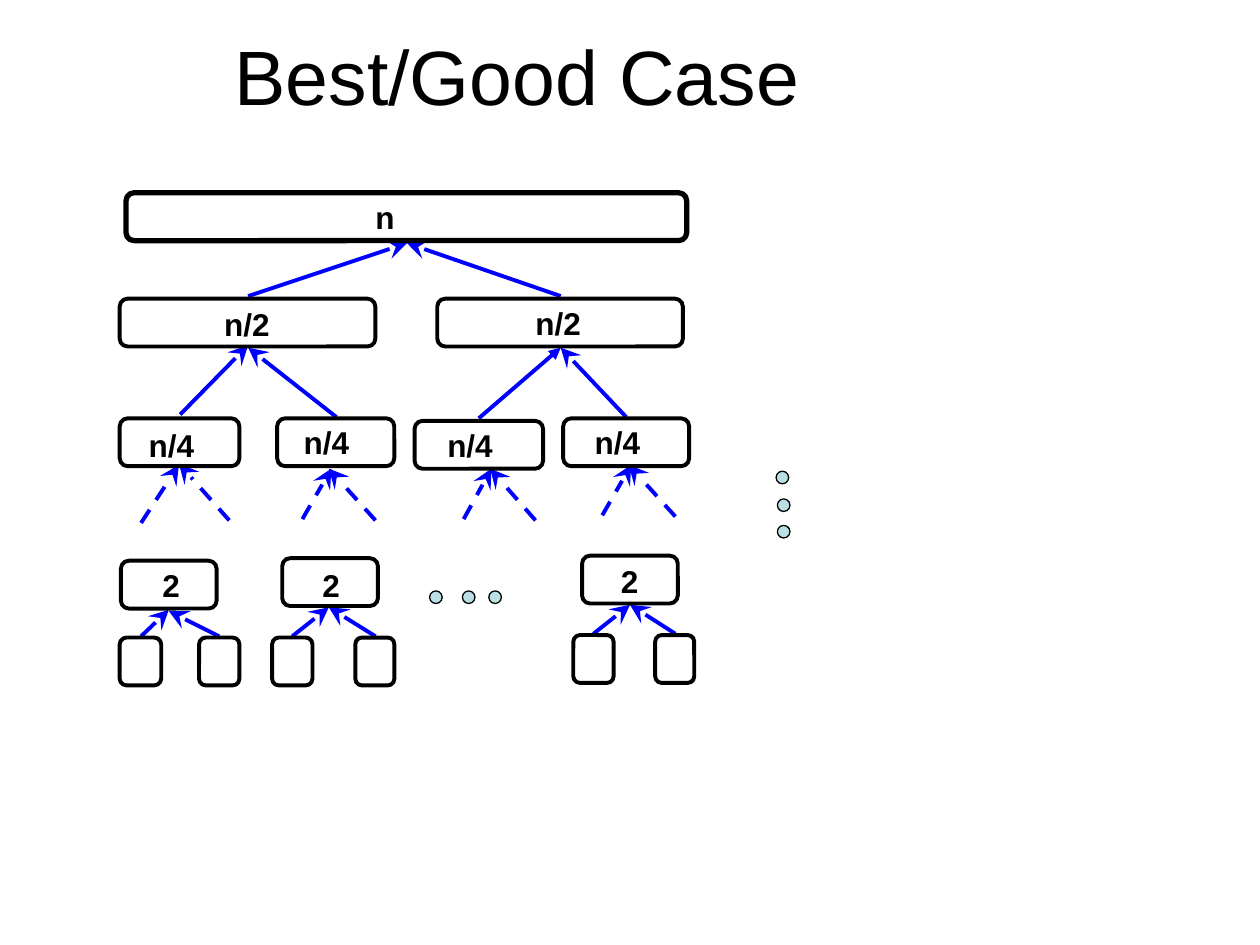
from lxml import etree
from pptx import Presentation
from pptx.dml.color import RGBColor
from pptx.enum.dml import MSO_LINE
from pptx.enum.shapes import MSO_CONNECTOR, MSO_SHAPE
from pptx.enum.text import MSO_ANCHOR, MSO_AUTO_SIZE, PP_ALIGN
from pptx.oxml.ns import qn
from pptx.util import Inches, Pt

ROUNDED = MSO_SHAPE.ROUNDED_RECTANGLE
OVAL = MSO_SHAPE.OVAL
STRAIGHT = MSO_CONNECTOR.STRAIGHT
DASH = MSO_LINE.DASH
TITLE_ONLY = 5

FONT = "Arial"
BLACK = "000000"
BLUE = "0000FF"
PALE_TEAL = "BBE0E3"
BOX_HEIGHT = 0.38
DOT_SIZE = 0.1

# Node boxes: left, top, width
HALVES = [(0.95, 2.37, 2.03), (3.47, 2.37, 1.95)]
QUARTERS = [(0.95, 3.32, 0.95), (2.2, 3.32, 0.93), (3.29, 3.34, 1.02), (4.47, 3.32, 1)]
PAIRS = [(0.96, 4.45, 0.76), (2.24, 4.43, 0.76), (4.62, 4.41, 0.76)]
LEAVES = [(0.95, 5.06, 0.33), (1.58, 5.06, 0.32), (2.16, 5.06, 0.32),
          (2.82, 5.06, 0.31), (4.55, 5.04, 0.32), (5.2, 5.04, 0.31)]

# Labels: text, left, top
SIZE_LABELS = [("n/2", 1.78, 2.42), ("n/2", 4.25, 2.41), ("n/4", 1.18, 3.38),
               ("n/4", 2.41, 3.36), ("n/4", 3.55, 3.38), ("n/4", 4.72, 3.36)]
PAIR_LABELS = [(1.19, 4.44), (2.46, 4.44), (4.83, 4.41)]

# Arrows: child x, child y, parent x, parent y
MERGES = [(1.97, 2.35, 3.23, 1.93), (4.45, 2.35, 3.23, 1.93),
          (1.43, 3.29, 1.97, 2.74), (2.67, 3.31, 1.97, 2.76),
          (4.97, 3.31, 4.45, 2.76),
          (1.12, 5.05, 1.34, 4.84), (1.74, 5.05, 1.34, 4.85),
          (2.32, 5.05, 2.61, 4.82), (2.98, 5.05, 2.61, 4.82),
          (4.71, 5.03, 5, 4.8), (5.36, 5.03, 5, 4.8)]
SKIPPED_MERGES = [(1.12, 4.15, 1.42, 3.69), (1.82, 4.13, 1.42, 3.68),
                  (2.4, 4.12, 2.63, 3.72), (2.98, 4.13, 2.61, 3.72),
                  (3.68, 4.12, 3.9, 3.72), (4.25, 4.13, 3.89, 3.72),
                  (4.78, 4.09, 5.01, 3.69), (5.36, 4.1, 4.99, 3.69)]

DOTS = [(6.16, 3.74), (6.17, 3.96), (6.17, 4.17),
        (3.41, 4.69), (3.67, 4.69), (3.88, 4.69)]


def color(value):
    return RGBColor.from_string(value)


def format_font(font, size, bold=False):
    font.name = FONT
    font.size = Pt(size)
    font.bold = bold
    font.color.rgb = color(BLACK)


def set_title(slide, text):
    title = slide.shapes.title
    title.left, title.top = Inches(-0.02), Inches(0.19)
    title.width, title.height = Inches(8.25), Inches(0.81)
    text_frame = title.text_frame
    text_frame.text = text
    text_frame.auto_size = MSO_AUTO_SIZE.NONE
    text_frame.vertical_anchor = MSO_ANCHOR.MIDDLE
    paragraph = text_frame.paragraphs[0]
    paragraph.alignment = PP_ALIGN.CENTER
    format_font(paragraph.runs[0].font, 44)


def add_box(slide, left, top, width, line_width=2.25):
    box = slide.shapes.add_shape(
        ROUNDED, Inches(left), Inches(top), Inches(width), Inches(BOX_HEIGHT))
    box.shadow.inherit = False
    box.adjustments[0] = 0.167
    box.fill.background()
    box.line.color.rgb = color(BLACK)
    box.line.width = Pt(line_width)


def add_dot(slide, left, top):
    dot = slide.shapes.add_shape(
        OVAL, Inches(left), Inches(top), Inches(DOT_SIZE), Inches(DOT_SIZE))
    dot.shadow.inherit = False
    dot.fill.solid()
    dot.fill.fore_color.rgb = color(PALE_TEAL)
    dot.line.color.rgb = color(BLACK)
    dot.line.width = Pt(0.75)


def add_label(slide, text, left, top, width, height=0.3, inset=(0, 0), wrap=True):
    """Add a bold label; inset is the horizontal and vertical margin."""
    label = slide.shapes.add_textbox(
        Inches(left), Inches(top), Inches(width), Inches(height))
    text_frame = label.text_frame
    text_frame.margin_left = text_frame.margin_right = Inches(inset[0])
    text_frame.margin_top = text_frame.margin_bottom = Inches(inset[1])
    text_frame.word_wrap = wrap
    text_frame.auto_size = MSO_AUTO_SIZE.SHAPE_TO_FIT_TEXT
    text_frame.text = text
    format_font(text_frame.paragraphs[0].runs[0].font, 18, bold=True)


def add_arrow(slide, child_x, child_y, parent_x, parent_y,
              dashed=False, head="stealth", head_size="lg"):
    arrow = slide.shapes.add_connector(
        STRAIGHT, Inches(child_x), Inches(child_y), Inches(parent_x), Inches(parent_y))
    arrow.line.color.rgb = color(BLUE)
    arrow.line.width = Pt(2.25)
    if dashed:
        arrow.line.dash_style = DASH
    properties = arrow._element.spPr
    etree.SubElement(properties.find(qn("a:ln")), qn("a:tailEnd"),
                     type=head, w=head_size, len=head_size)
    etree.SubElement(properties, qn("a:effectLst"))


def main():
    presentation = Presentation()
    presentation.slide_width, presentation.slide_height = Inches(10), Inches(7.5)
    slide = presentation.slides.add_slide(presentation.slide_layouts[TITLE_ONLY])
    set_title(slide, "Best/Good Case")

    for merge in MERGES:
        add_arrow(slide, *merge)
    add_arrow(slide, 3.8, 3.32, 4.45, 2.76, head="triangle", head_size="med")
    for merge in SKIPPED_MERGES:
        add_arrow(slide, *merge, dashed=True)

    add_box(slide, 1, 1.53, 4.45, line_width=3)
    for box in HALVES + QUARTERS + PAIRS + LEAVES:
        add_box(slide, *box)

    add_label(slide, "n", 2.98, 1.57, 0.35)
    for text, left, top in SIZE_LABELS:
        add_label(slide, text, left, top, 0.56)
    for left, top in PAIR_LABELS:
        add_label(slide, "2", left, top, 0.34, 0.4, inset=(0.1, 0.05), wrap=False)

    for dot in DOTS:
        add_dot(slide, *dot)
    presentation.save("out.pptx")


if __name__ == "__main__":
    main()
